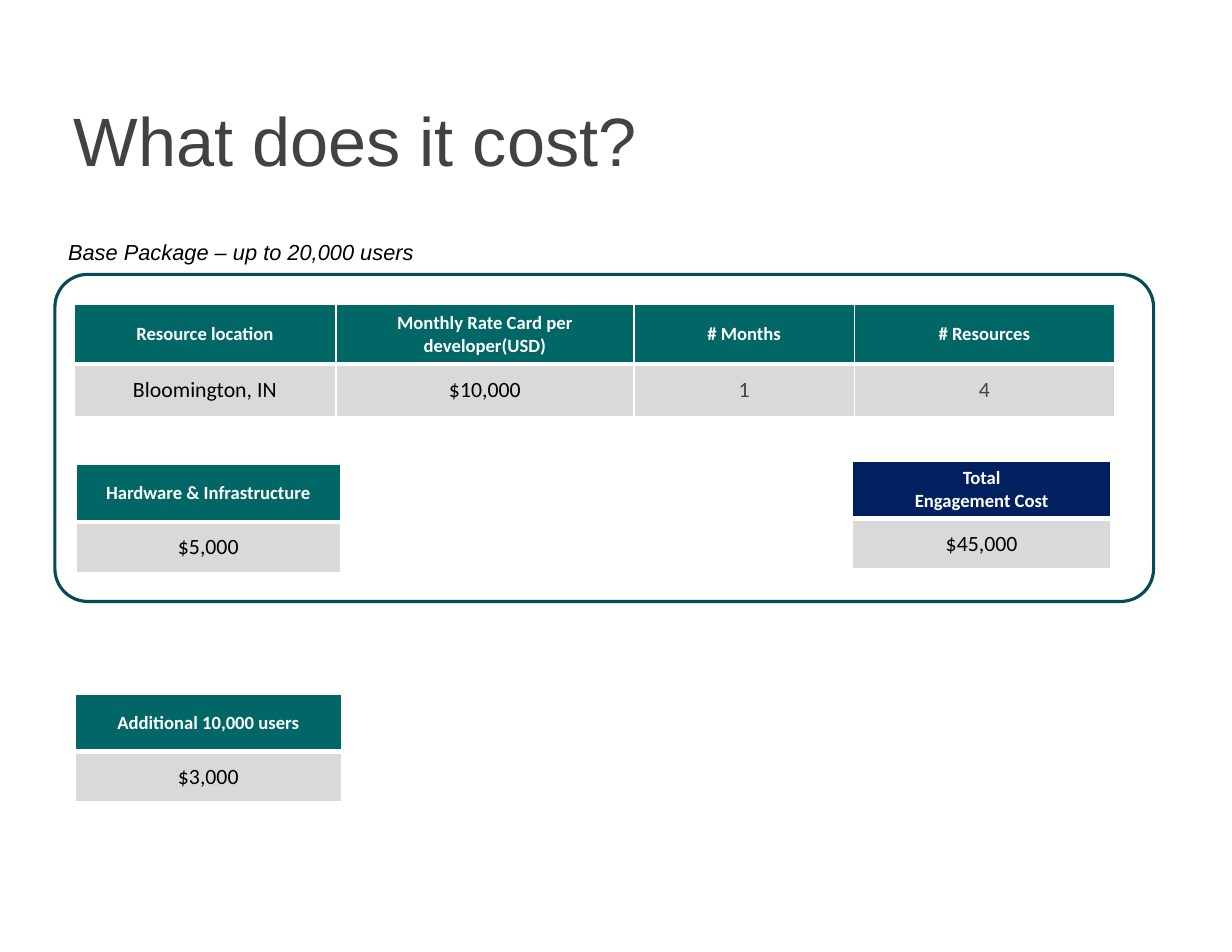
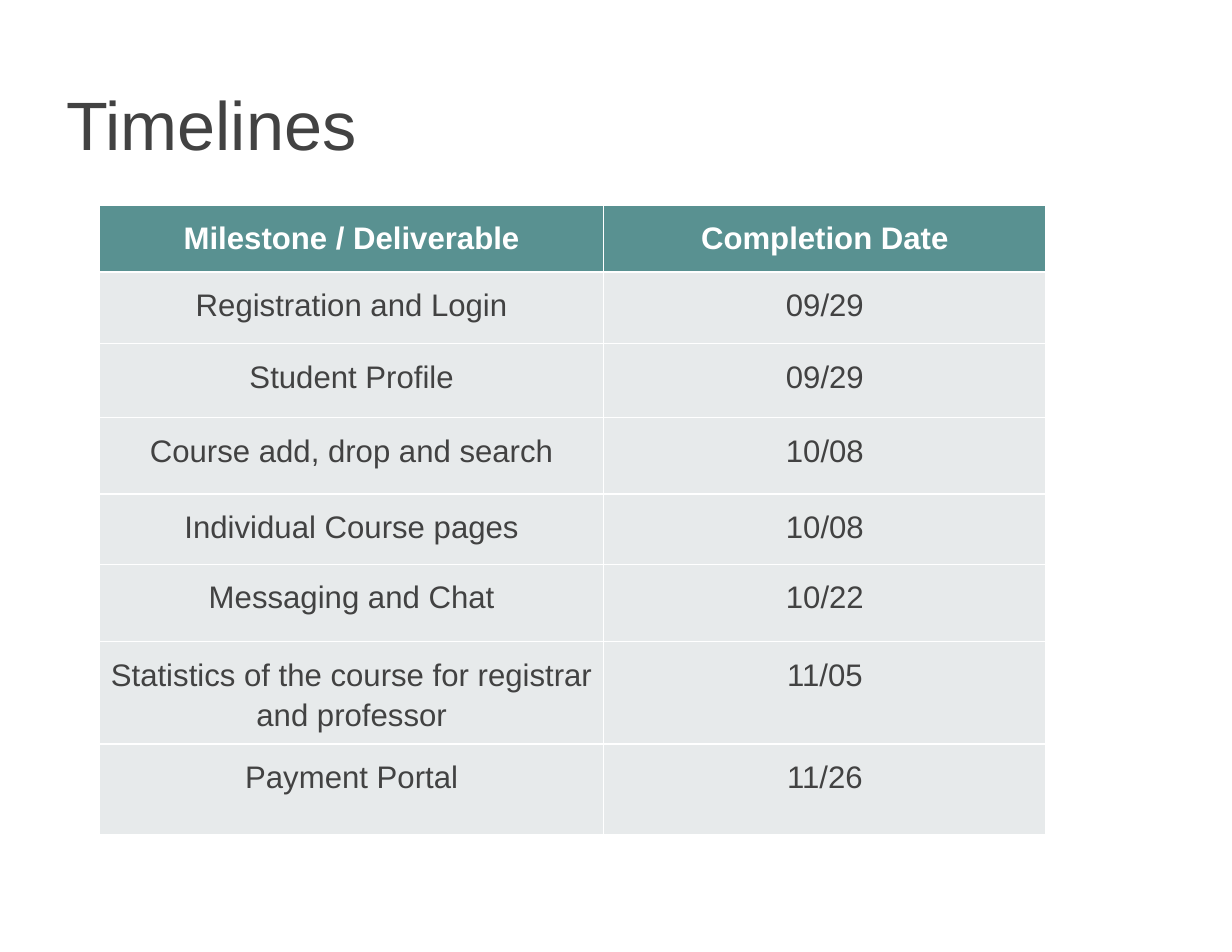
from dataclasses import dataclass

from lxml import etree
from pptx import Presentation
from pptx.dml.color import RGBColor
from pptx.enum.shapes import MSO_SHAPE
from pptx.enum.text import MSO_ANCHOR, MSO_AUTO_SIZE, PP_ALIGN
from pptx.oxml.ns import qn
from pptx.slide import Slide
from pptx.util import Inches, Pt

ROUND_RECT = MSO_SHAPE.ROUNDED_RECTANGLE
TOP, MIDDLE = MSO_ANCHOR.TOP, MSO_ANCHOR.MIDDLE
LEFT, CENTER = PP_ALIGN.LEFT, PP_ALIGN.CENTER
NO_FIT = MSO_AUTO_SIZE.NONE
TITLE_ONLY = 5


# Colours, fonts and type sizes
@dataclass(frozen=True)
class Theme:
    white: str = "FFFFFF"
    black: str = "000000"
    gray: str = "424242"
    outline: str = "084956"
    teal: str = "006666"
    navy: str = "002060"
    silver: str = "D9D9D9"
    sage: str = "599191"
    mist: str = "E7EAEB"
    sans: str = "Arial"
    table_font: str = "Calibri"
    title_size: int = 44
    milestone_size: int = 20
    price_size: int = 14
    header_size: int = 12
    caption_size: int = 14


THEME = Theme()


@dataclass(frozen=True)
class TableStyle:
    font: str
    header_fill: str
    body_fill: str
    header_size: int
    body_size: int
    body_color: str
    margin_x: float
    margin_y: float
    anchor: MSO_ANCHOR
    rule: float             # line between header and body, in points
    spacing: float = 0      # space around each paragraph, in points
    line_spacing: float = 1


@dataclass(frozen=True)
class TableSpec:
    left: float
    top: float
    widths: list[float]
    heights: list[float]
    rows: list[list[str]]
    style: TableStyle
    gray_columns: tuple[int, ...] = ()


def price_style(header_fill: str) -> TableStyle:
    return TableStyle(THEME.table_font, header_fill, THEME.silver,
                      THEME.header_size, THEME.price_size, THEME.black,
                      0.05, 0.02, MIDDLE, 3)


PRICE = price_style(THEME.teal)
TOTAL = price_style(THEME.navy)
MILESTONE = TableStyle(THEME.sans, THEME.sage, THEME.mist,
                       THEME.milestone_size, THEME.milestone_size, THEME.gray,
                       0.07, 0.1, TOP, 1, 6, 1.15)


def price_card(left: float, top: float, width: float, label: str,
               price: str, style: TableStyle = PRICE) -> TableSpec:
    return TableSpec(left, top, [width], [0.51, 0.45], [[label], [price]], style)


# Slide content
PRICE_TABLES = [
    TableSpec(0.66, 2.72, [2.34, 2.66, 1.97, 2.32], [0.53, 0.47], [
        ["Resource location", "Monthly Rate Card per developer(USD)",
         "# Months", "# Resources"],
        ["Bloomington, IN", "$10,000", "1", "4"],
    ], PRICE, gray_columns=(2, 3)),
    price_card(0.68, 4.15, 2.36, "Hardware & Infrastructure", "$5,000"),
    price_card(0.67, 6.2, 2.38, "Additional 10,000 users", "$3,000"),
    price_card(7.61, 4.12, 2.31, "Total\nEngagement Cost", "$45,000", TOTAL),
]

MILESTONES = TableSpec(
    0.89, 1.83, [4.5, 3.95],
    [0.6, 0.64, 0.66, 0.68, 0.63, 0.69, 0.91, 0.81], [
        ["Milestone / Deliverable", "Completion Date"],
        ["Registration and Login", "09/29"],
        ["Student Profile", "09/29"],
        ["Course add, drop and search", "10/08"],
        ["Individual Course pages", "10/08"],
        ["Messaging and Chat", "10/22"],
        ["Statistics of the course for registrar and professor", "11/05"],
        ["Payment Portal", "11/26"],
    ], MILESTONE)


# Drawing helpers
def rgb(value: str) -> RGBColor:
    return RGBColor.from_string(value)


def set_font(p, name: str, size: int, color: str,
             bold: bool = False, italic: bool = False) -> None:
    font = p.font
    font.name, font.size = name, Pt(size)
    font.bold, font.italic = bold, italic
    font.color.rgb = rgb(color)


def add_title(s: Slide, text: str, left: float, top: float) -> None:
    title = s.shapes.title
    title.left, title.top = Inches(left), Inches(top)
    title.width, title.height = Inches(7.64), Inches(0.64)
    tf = title.text_frame
    tf.text = text
    tf.auto_size, tf.vertical_anchor = NO_FIT, TOP
    tf.margin_left = tf.margin_right = tf.margin_bottom = 0
    tf.margin_top = Inches(0.06)
    p = tf.paragraphs[0]
    p.alignment = LEFT
    set_font(p, THEME.sans, THEME.title_size, THEME.gray)


def set_borders(cell, top: float, bottom: float) -> None:
    tc_pr = cell._tc.get_or_add_tcPr()
    for side, width in (("L", 1), ("R", 1), ("T", top), ("B", bottom)):
        ln = etree.SubElement(tc_pr, qn(f"a:ln{side}"), w=str(Pt(width)))
        fill = etree.SubElement(ln, qn("a:solidFill"))
        etree.SubElement(fill, qn("a:srgbClr"), val=THEME.white)


def format_cell(cell, text: str, style: TableStyle, row: int, color: str) -> None:
    header = row == 0
    set_borders(cell, style.rule if row == 1 else 1, style.rule if header else 1)
    cell.fill.solid()
    cell.fill.fore_color.rgb = rgb(style.header_fill if header else style.body_fill)
    cell.margin_left = cell.margin_right = Inches(style.margin_x)
    cell.margin_top = cell.margin_bottom = Inches(style.margin_y)
    cell.vertical_anchor = style.anchor
    cell.text = text
    for p in cell.text_frame.paragraphs:
        p.alignment = CENTER
        p.line_spacing = style.line_spacing
        p.space_before = p.space_after = Pt(style.spacing)
        set_font(p, style.font, style.header_size if header else style.body_size,
                 color, bold=header)


def add_table(s: Slide, spec: TableSpec) -> None:
    table = s.shapes.add_table(
        len(spec.rows), len(spec.widths), Inches(spec.left), Inches(spec.top),
        Inches(sum(spec.widths)), Inches(sum(spec.heights))).table
    table.first_row = table.horz_banding = False
    for column, width in zip(table.columns, spec.widths):
        column.width = Inches(width)
    for i, (height, texts) in enumerate(zip(spec.heights, spec.rows)):
        table.rows[i].height = Inches(height)
        for j, text in enumerate(texts):
            if i == 0:
                color = THEME.white
            else:
                color = THEME.gray if j in spec.gray_columns else spec.style.body_color
            format_cell(table.cell(i, j), text, spec.style, i, color)


def add_package_frame(s: Slide) -> None:
    frame = s.shapes.add_shape(ROUND_RECT, Inches(0.49), Inches(2.45),
                               Inches(9.81), Inches(2.92))
    frame.adjustments[0] = 0.1
    frame.shadow.inherit = False
    frame.fill.solid()
    frame.fill.fore_color.rgb = rgb(THEME.white)
    frame.line.color.rgb = rgb(THEME.outline)
    frame.line.width = Pt(2)


def add_caption(s: Slide, text: str) -> None:
    tf = s.shapes.add_textbox(Inches(0.51), Inches(2.08),
                              Inches(3.36), Inches(0.34)).text_frame
    tf.word_wrap = True
    tf.text = text
    set_font(tf.paragraphs[0], THEME.sans, THEME.caption_size, THEME.black,
             italic=True)


# Slides
def build_cost(prs) -> None:
    s = prs.slides.add_slide(prs.slide_layouts[TITLE_ONLY])
    add_title(s, "What does it cost?", 0.66, 0.82)
    add_package_frame(s)
    add_caption(s, "Base Package – up to 20,000 users")
    for spec in PRICE_TABLES:
        add_table(s, spec)


def build_timelines(prs) -> None:
    s = prs.slides.add_slide(prs.slide_layouts[TITLE_ONLY])
    add_title(s, "Timelines", 0.59, 0.67)
    add_table(s, MILESTONES)


def main() -> None:
    prs = Presentation()
    prs.slide_width, prs.slide_height = Inches(11), Inches(8.5)
    build_cost(prs)
    build_timelines(prs)
    prs.save("out.pptx")


if __name__ == "__main__":
    main()
